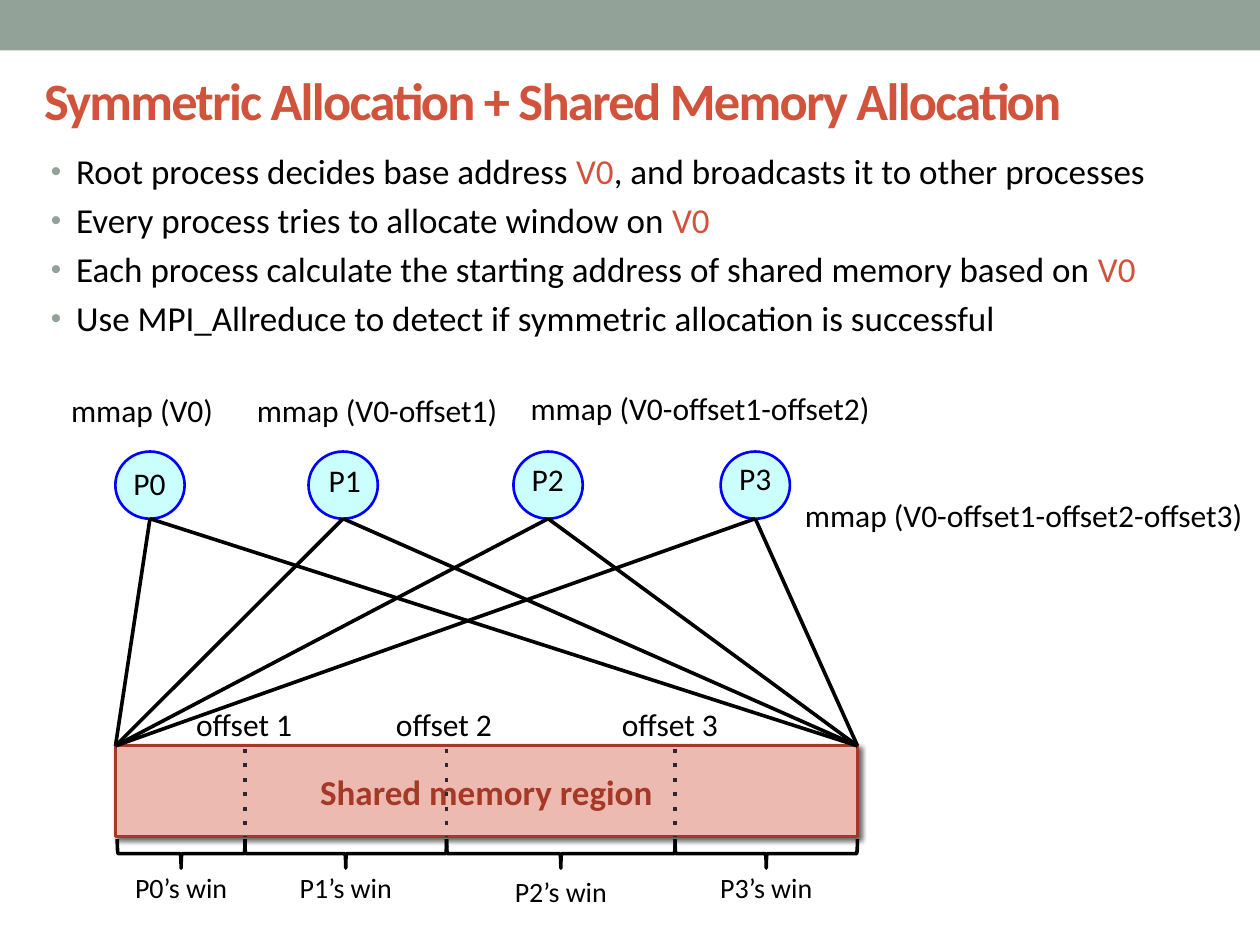
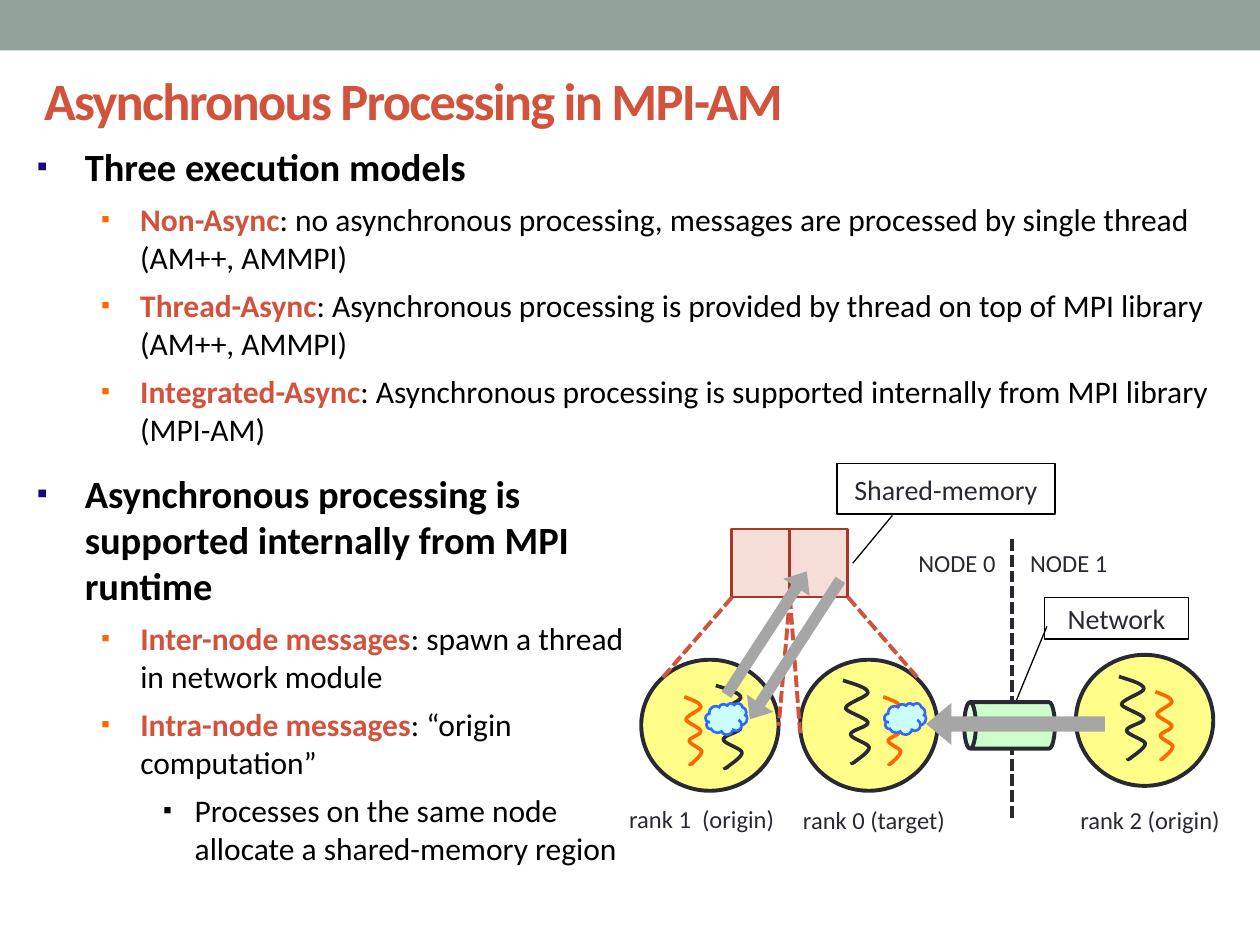
from lxml import etree
from pptx import Presentation
from pptx.dml.color import RGBColor
from pptx.enum.shapes import MSO_CONNECTOR, MSO_SHAPE
from pptx.enum.text import MSO_ANCHOR, PP_ALIGN
from pptx.oxml.ns import qn
from pptx.util import Pt

RECT, OVAL = MSO_SHAPE.RECTANGLE, MSO_SHAPE.OVAL
BRACE, CALL = MSO_SHAPE.LEFT_BRACE, MSO_SHAPE.LINE_CALLOUT_1
CAN, CLOUD, ARROW = MSO_SHAPE.CAN, MSO_SHAPE.CLOUD, MSO_SHAPE.RIGHT_ARROW
STRAIGHT = MSO_CONNECTOR.STRAIGHT
LEFT, CENTER = PP_ALIGN.LEFT, PP_ALIGN.CENTER
TOP, MIDDLE = MSO_ANCHOR.TOP, MSO_ANCHOR.MIDDLE

BLACK = RGBColor(0x00, 0x00, 0x00)
WHITE = RGBColor(0xFF, 0xFF, 0xFF)
INK = RGBColor(0x29, 0x29, 0x34)
SAGE = RGBColor(0x93, 0xA2, 0x99)
RED = RGBColor(0xD2, 0x53, 0x3C)
BRICK = RGBColor(0xA5, 0x39, 0x26)
ROSE = RGBColor(0xED, 0xBA, 0xB1)
PINK = RGBColor(0xF6, 0xDD, 0xD8)
AQUA = RGBColor(0xCA, 0xFF, 0xFE)
BLUE = RGBColor(0x00, 0x00, 0xFF)
SKY = RGBColor(0x33, 0x66, 0xFF)
NAVY = RGBColor(0x17, 0x09, 0x81)
ORANGE = RGBColor(0xFF, 0x66, 0x00)
YELLOW = RGBColor(0xFF, 0xFE, 0x89)
MINT = RGBColor(0xCC, 0xFF, 0xCC)
GREY = RGBColor(0xA6, 0xA6, 0xA6)
FONT = "Calibri"


def put(slide, kind, x, y, w, h, fill=None, edge=None, width=1.5, text="",
        size=18, color=BLACK, bold=False, align=CENTER, turn=0, adj=()):
    """Add a shape, or a text box when kind is None."""
    box = [Pt(v) for v in (x, y, w, h)]
    if kind is None:
        shape = slide.shapes.add_textbox(*box)
    else:
        shape = slide.shapes.add_shape(kind, *box)
        shape.shadow.inherit = False
        shape.rotation = turn
        for i, value in enumerate(adj):
            shape.adjustments[i] = value
        if fill is None:
            shape.fill.background()
        else:
            shape.fill.solid()
            shape.fill.fore_color.rgb = fill
        if edge is None:
            shape.line.fill.background()
        else:
            shape.line.color.rgb = edge
            shape.line.width = Pt(width)
    frame = shape.text_frame
    frame.word_wrap = True
    frame.vertical_anchor = TOP if kind is None else MIDDLE
    if text:
        frame.text = text
        par = frame.paragraphs[0]
        par.alignment = align
        font = par.runs[0].font
        font.name, font.size, font.bold = FONT, Pt(size), bold
        font.color.rgb = color
    return shape


def link(slide, x1, y1, x2, y2, color, width, dash=None):
    """Add a straight line, dashed on request."""
    line = slide.shapes.add_connector(STRAIGHT, Pt(x1), Pt(y1), Pt(x2), Pt(y2))
    line.line.color.rgb = color
    line.line.width = Pt(width)
    props = line.element.spPr
    if dash:
        etree.SubElement(props.find(qn("a:ln")), qn("a:prstDash"), val=dash)
    etree.SubElement(props, qn("a:effectLst"))


prs = Presentation()
prs.slide_width, prs.slide_height = Pt(720), Pt(540)
layout = prs.slide_layouts[5]

# Bullet styles: size, indent, hang, mark, mark colour, mark %, gap, bold, accent bold
PLAIN = (20, 14.4, 14.4, "•", SAGE, 85, 4, False, False)
HEAD = (22, 43.2, 27.4, "▪", NAVY, 80, 6, True, True)
ITEM = (18, 74.9, 22.3, "▪", ORANGE, 80, 6, False, True)
SUB = (18, 106, 18, "▪", BLACK, 80, 6, False, False)

# Titles and bullet boxes; accents stand between bars
pages = [
    ("Symmetric Allocation + Shared Memory Allocation", [
        ((22, 82.1, 675, 122), [
            (PLAIN, "Root process decides base address |V0|, and broadcasts it to other processes"),
            (PLAIN, "Every process tries to allocate window on |V0"),
            (PLAIN, "Each process calculate the starting address of shared memory based on |V0"),
            (PLAIN, "Use MPI_Allreduce to detect if symmetric allocation is successful"),
        ]),
    ]),
    ("Asynchronous Processing in MPI-AM", [
        ((-1.8, 78.2, 714, 186), [
            (HEAD, "Three execution models"),
            (ITEM, "|Non-Async|: no asynchronous processing, messages are processed "
                   "by single thread (AM++, AMMPI)"),
            (ITEM, "|Thread-Async|: Asynchronous processing is provided by thread "
                   "on top of MPI library (AM++, AMMPI)"),
            (ITEM, "|Integrated-Async|: Asynchronous processing is supported "
                   "internally from MPI library (MPI-AM)"),
        ]),
        ((-1.8, 265, 372, 246), [
            (HEAD, "Asynchronous processing is supported internally from MPI runtime"),
            (ITEM, "|Inter-node messages|: spawn a thread in network module"),
            (ITEM, "|Intra-node messages|: “origin computation”"),
            (SUB, "Processes on the same node allocate a shared-memory region"),
        ]),
    ]),
]

slides = []
for name, bodies in pages:
    slide = prs.slides.add_slide(layout)
    slides.append(slide)
    if len(slides) == 1:
        # The top band lives on the master, so both slides share it
        band = put(slide, RECT, 0, 0, 720, 28.8, SAGE)
        band.element.nvSpPr.cNvPr.set("id", "99")
        prs.slide_master.shapes.element.insert(2, band.element)

    title = slide.shapes.title
    title.left, title.top, title.width, title.height = Pt(18), Pt(26.6), Pt(659), Pt(61)
    title.text_frame.text = name
    title.text_frame.vertical_anchor = MIDDLE
    par = title.text_frame.paragraphs[0]
    par.alignment = LEFT
    run = par.runs[0]
    run.font.name, run.font.size, run.font.bold = FONT, Pt(30), True
    run.font.color.rgb = RED
    run.font._element.set("spc", "-100")

    for box, lines in bodies:
        frame = put(slide, None, *box).text_frame
        for i, (style, text) in enumerate(lines):
            size, indent, hang, mark, tint, share, gap, bold, strong = style
            par = frame.add_paragraph() if i else frame.paragraphs[0]
            props = par._p.get_or_add_pPr()
            props.set("marL", str(Pt(indent)))
            props.set("indent", str(-Pt(hang)))
            hue = etree.SubElement(props, qn("a:buClr"))
            etree.SubElement(hue, qn("a:srgbClr"), val=str(tint))
            etree.SubElement(props, qn("a:buSzPct"), val=str(share * 1000))
            etree.SubElement(props, qn("a:buFont"), typeface="Arial")
            etree.SubElement(props, qn("a:buChar"), char=mark)
            par.space_before = Pt(gap if i else 0)
            for j, part in enumerate(text.split("|")):
                if part:
                    run = par.add_run()
                    run.text = part
                    run.font.name, run.font.size = FONT, Pt(size)
                    run.font.bold = strong if j % 2 else bold
                    run.font.color.rgb = RED if j % 2 else BLACK

one, two = slides

# Slide 1: shared region with its soft shadow
left, right, top = 66, 490, 426.2
region = put(one, RECT, left, top, right - left, 52, ROSE, BRICK,
             text="Shared memory region", size=20, color=BRICK, bold=True)
glow = region.element.spPr.find(qn("a:effectLst"))
cast = etree.SubElement(glow, qn("a:outerShdw"), blurRad=str(Pt(3)),
                        dist=str(Pt(2)), dir="2700000", rotWithShape="0")
tone = etree.SubElement(cast, qn("a:srgbClr"), val="000000")
etree.SubElement(tone, qn("a:alpha"), val="60000")

# Processes, each seeing the whole region
procs = [(85.7, 85.4, 261.4), (196.1, 197, 259.8),
         (313.2, 313, 259.2), (431.6, 431.6, 259)]
for mid, x, y in procs:
    put(one, OVAL, mid - 19.8, 258, 39.6, 38.4, AQUA, BLUE)
for mid, x, y in procs:
    for end in (left, right):
        link(one, mid, 296.4, end, top, BLACK, 2.08)
for i, (mid, x, y) in enumerate(procs):
    put(one, None, x - 38, y, 76, 29, text=f"P{i}")

# Calls and offsets
for mid, y, text in [(81.2, 219.6, "V0"), (215.5, 219.6, "V0-offset1"),
                     (400.1, 218.6, "V0-offset1-offset2"),
                     (585, 280, "V0-offset1-offset2-offset3")]:
    put(one, None, mid - 145, y, 290, 29, text=f"mmap ({text})")
for i, mid in enumerate((139.5, 253.7, 382.8), 1):
    put(one, None, mid - 38, 399.2, 76, 29, text=f"offset {i}")

# Windows between the cuts
cuts = [67, 140, 255.2, 385.8, right]
for cut in cuts[1:-1]:
    link(one, cut, 428, cut, 478, INK, 2.08, "dot")
for i, (a, b) in enumerate(zip(cuts, cuts[1:])):
    mid, span = (a + b) / 2, b - a
    put(one, BRACE, mid - 8.25, 487.8 - span / 2, 16.5, span,
        edge=BLACK, width=2.08, turn=270, adj=(0.03, 0.5))
    put(one, None, mid - 65, 496 if i == 2 else 494, 130, 27,
        text=f"P{i}’s win", size=16)

# Slide 2: network label, memory cells and ranks
put(two, CALL, 597, 341.3, 82, 23.8, WHITE, BLACK, 0.75, "Network", 16, INK,
    adj=(0.7, 0.015, 3.361, -0.304))
for x in (418.1, 451.2):
    put(two, RECT, x, 302.4, 33.1, 38.9, PINK, BRICK)
for x, y in ((457.2, 377), (366.4, 377), (614.8, 374.2)):
    put(two, OVAL, x, y, 78.5, 74.9, YELLOW, INK, 2.25)
for x1, x2, y2 in ((451.4, 445, 414.7), (451.4, 457.2, 419),
                   (418.3, 378, 388), (484.6, 525, 388)):
    link(two, x1, 341.3, x2, y2, RED, 2.25, "sysDash")

# Node border and network pipe
link(two, 578.2, 308.2, 578.2, 469.4, INK, 2.25, "sysDash")
put(two, CAN, 563.6, 388.6, 26.6, 51.8, MINT, INK, 2.25, turn=270)
for mid, y, text in ((499.4, 456.2, "rank 0 (target)"),
                     (401, 455.8, "rank 1  (origin)"),
                     (657.2, 456.2, "rank 2 (origin)")):
    put(two, None, mid - 73, y, 146, 25, text=text, size=14, color=INK)
put(two, CALL, 478.3, 265, 124.6, 28.8, WHITE, BLACK, 0.75, "Shared-memory", 16, INK,
    adj=(1.028, 0.254, 1.973, 0.073))

# Threads: one wavy curve in percent of its box, drawn at two sizes
wave = [(0, 0), (48, 5), (95, 9), (95, 15), (95, 20), (10, 28), (10, 34),
        (10, 38), (90, 46), (95, 51), (100, 57), (29, 60), (29, 66),
        (29, 71), (100, 77), (100, 82), (100, 88), (52, 97), (43, 100),
        (29, 103), (33, 100), (33, 100)]
for x, y, w, h, color in [(409, 391.7, 15, 46.8, INK), (391, 398.2, 10, 38.2, ORANGE),
                          (481.7, 388.8, 15, 46.8, INK), (504.7, 398.2, 10, 38.2, ORANGE),
                          (639.4, 386.6, 15, 46.8, INK), (660.2, 395.3, 10, 38.2, ORANGE)]:
    knots = [(Pt(x + w * u / 100), Pt(y + h * v / 100)) for u, v in wave[::3]]
    pen = two.shapes.build_freeform(*knots[0], scale=1.0)
    pen.add_line_segments(knots[1:], close=False)
    thread = pen.convert_to_shape()
    # Bend each straight step into a cubic curve
    trace = next(thread.element.iter(qn("a:path")))
    for k, step in enumerate(trace.findall(qn("a:lnTo"))):
        bend = etree.Element(qn("a:cubicBezTo"))
        for u, v in wave[3 * k + 1:3 * k + 4]:
            etree.SubElement(bend, qn("a:pt"), x=str(Pt(w * u / 100)),
                             y=str(Pt(h * v / 100)))
        trace.replace(step, bend)
    thread.shadow.inherit = False
    thread.fill.background()
    thread.line.color.rgb = color
    thread.line.width = Pt(2.08)

# Node names, message arrows and handlers
for i, x in enumerate((517.7, 581.6)):
    put(two, None, x, 309.6, 67, 24.5, text=f"NODE {i}", size=14, color=INK, align=LEFT)
for x, y, w, h, turn in ((529.2, 401.8, 102.2, 23.8, 180),
                         (406.8, 362.2, 95, 18, 123),
                         (396, 352.8, 84.2, 18, 303.1)):
    put(two, ARROW, x, y, w, h, GREY, turn=turn, adj=(0.363, 0.603))
for x in (403.2, 505.4):
    put(two, CLOUD, x, 401.8, 23.8, 18, AQUA, SKY)

prs.save("out.pptx")
